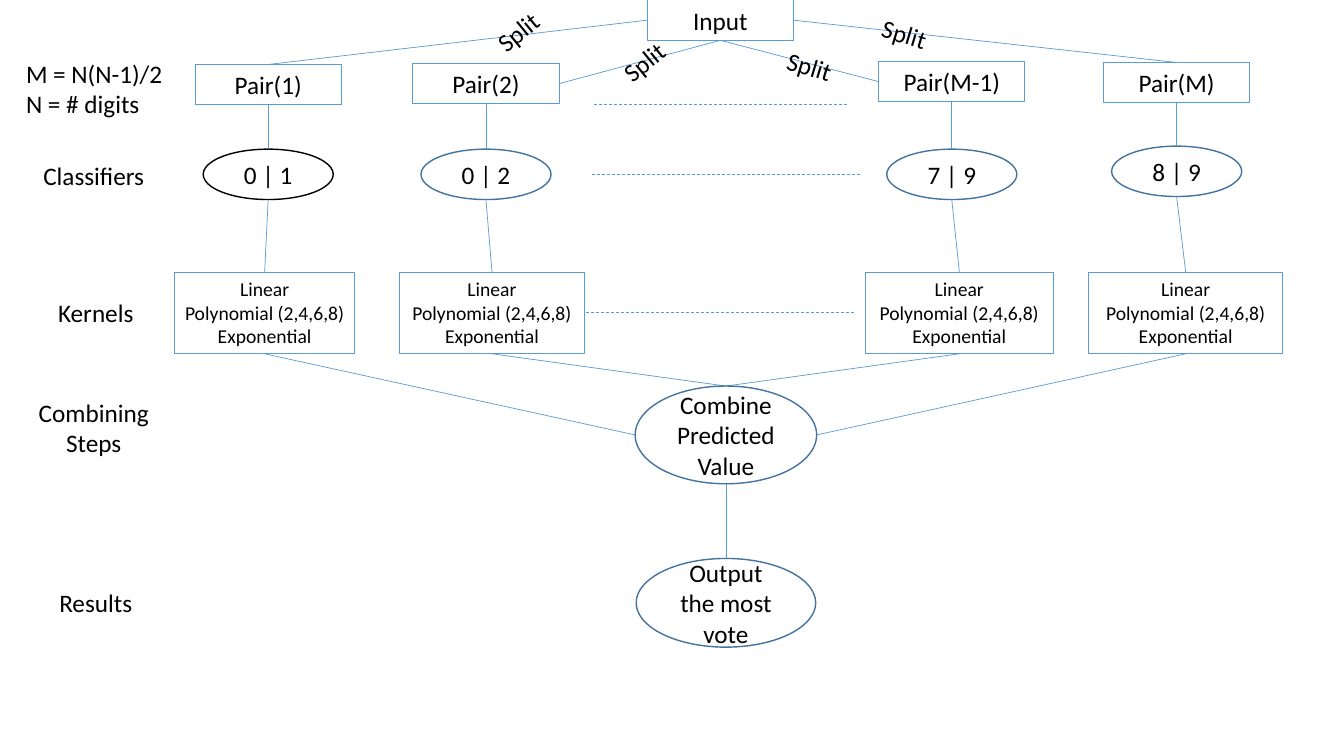
"""Build a slide showing pairwise digit classifiers combined by majority vote."""
from lxml import etree
from pptx import Presentation
from pptx.dml.color import RGBColor
from pptx.enum.dml import MSO_LINE
from pptx.enum.shapes import MSO_CONNECTOR, MSO_SHAPE
from pptx.enum.text import MSO_ANCHOR, PP_ALIGN
from pptx.oxml.ns import qn
from pptx.util import Pt

RECT, OVAL = MSO_SHAPE.RECTANGLE, MSO_SHAPE.OVAL
STRAIGHT, DASH = MSO_CONNECTOR.STRAIGHT, MSO_LINE.DASH
LEFT, CENTER = PP_ALIGN.LEFT, PP_ALIGN.CENTER
TOP, MIDDLE = MSO_ANCHOR.TOP, MSO_ANCHOR.MIDDLE

EMU_PER_PX = 9144
SLIDE_SIZE = (1333, 750)
FONT = "Calibri"
BLACK, WHITE, BLUE, NAVY = "000000", "FFFFFF", "5B9BD5", "43739E"

INPUT = ("Input", (642, 0, 145, 40))
KERNELS = "Linear\nPolynomial (2,4,6,8)\nExponential"
BRANCHES = [
    {"pair": "Pair(1)", "digits": "0 | 1", "center": 266, "pair_top": 64,
     "digits_top": 148, "kernels": (173, 179), "outline": BLACK},
    {"pair": "Pair(2)", "digits": "0 | 2", "center": 482, "pair_top": 63,
     "digits_top": 148, "kernels": (396, 184), "outline": NAVY},
    {"pair": "Pair(M-1)", "digits": "7 | 9", "center": 944, "pair_top": 61,
     "digits_top": 148, "kernels": (858, 187), "outline": NAVY},
    {"pair": "Pair(M)", "digits": "8 | 9", "center": 1167, "pair_top": 62,
     "digits_top": 145, "kernels": (1080, 192), "outline": NAVY},
]
PAIR_SIZE, DIGITS_SIZE = (145, 40), (129, 50)
KERNELS_TOP, KERNELS_HEIGHT = 270, 81
COMBINE = ("Combine\nPredicted Value", (630, 383, 180, 97))
OUTPUT = ("Output the most vote", (631, 554, 178, 88))
INPUT_SIDES = ["left", "bottom", "bottom", "right"]
PAIR_SIDES = ["top", "right", "left", "top"]
COMBINE_SIDES = ["left", "top", "top", "right"]
ELLIPSES = [((589, 104), (841, 104)), ((587, 173), (854, 173)), ((581, 310), (848, 310))]
LABELS = [
    ("M = N(N-1)/2\nN = # digits", 16, 53, 71, LEFT),
    ("Classifiers", 10, 154, 40, CENTER),
    ("Kernels", 12, 290, 40, CENTER),
    ("Combining Steps", 10, 389, 71, CENTER),
    ("Results", 12, 578, 40, CENTER),
]
LABEL_WIDTH = 166
SPLITS = [(481, 10, 320.8), (606, 40, 320.8), (771, 46, 16.8), (865, 14, 16.8)]
SPLIT_SIZE = (68, 40)


def px(*lengths):
    return [round(length * EMU_PER_PX) for length in lengths]


def color(value):
    return RGBColor.from_string(value)


def write(holder, text, size=18, align=CENTER, anchor=TOP, wrap=False):
    frame = holder.text_frame
    frame.word_wrap = wrap
    frame.vertical_anchor = anchor
    for index, line in enumerate(text.split("\n")):
        paragraph = frame.add_paragraph() if index else frame.paragraphs[0]
        paragraph.alignment = align
        run = paragraph.add_run()
        run.text = line
        run.font.name, run.font.size = FONT, Pt(size)
        run.font.color.rgb = color(BLACK)


def add_node(slide, kind, text, bounds, outline, weight, fill=None, **text_format):
    node = slide.shapes.add_shape(kind, *px(*bounds))
    node.shadow.inherit = False
    if fill:
        node.fill.solid()
        node.fill.fore_color.rgb = color(fill)
    else:
        node.fill.background()
    node.line.color.rgb = color(outline)
    node.line.width = Pt(weight)
    write(node, text, **text_format)


def add_box(slide, text, bounds, size=18):
    add_node(slide, RECT, text, bounds, BLUE, 0.75, fill=WHITE, size=size)


def add_oval(slide, text, bounds, outline=NAVY):
    add_node(slide, OVAL, text, bounds, outline, 1, anchor=MIDDLE, wrap=True)


def add_label(slide, text, bounds, rotation=0, **text_format):
    label = slide.shapes.add_textbox(*px(*bounds))
    label.rotation = rotation
    write(label, text, **text_format)


def side(bounds, name):
    left, top, width, height = bounds
    return {"left": (left, top + height / 2), "right": (left + width, top + height / 2),
            "top": (left + width / 2, top), "bottom": (left + width / 2, top + height)}[name]


def add_link(slide, start, end, dash=None):
    link = slide.shapes.add_connector(STRAIGHT, *px(*start, *end))
    link.line.color.rgb = color(BLUE)
    link.line.width = Pt(0.5)
    if dash:
        link.line.dash_style = dash
    etree.SubElement(link._element.spPr, qn("a:effectLst"))


def add_branch(slide, branch, input_side, pair_side, combine_side):
    center = branch["center"]
    pair = (center - PAIR_SIZE[0] / 2, branch["pair_top"], *PAIR_SIZE)
    digits = (center - DIGITS_SIZE[0] / 2, branch["digits_top"], *DIGITS_SIZE)
    left, width = branch["kernels"]
    kernels = (left, KERNELS_TOP, width, KERNELS_HEIGHT)
    add_box(slide, branch["pair"], pair)
    add_oval(slide, branch["digits"], digits, branch["outline"])
    add_box(slide, KERNELS, kernels, size=14)
    add_link(slide, side(INPUT[1], input_side), side(pair, pair_side))
    add_link(slide, side(pair, "bottom"), side(digits, "top"))
    add_link(slide, side(digits, "bottom"), side(kernels, "top"))
    add_link(slide, side(kernels, "bottom"), side(COMBINE[1], combine_side))


def main():
    deck = Presentation()
    deck.slide_width, deck.slide_height = px(*SLIDE_SIZE)
    slide = deck.slides.add_slide(deck.slide_layouts[6])
    add_box(slide, *INPUT)
    for branch_and_sides in zip(BRANCHES, INPUT_SIDES, PAIR_SIDES, COMBINE_SIDES):
        add_branch(slide, *branch_and_sides)
    for start, end in ELLIPSES:
        add_link(slide, start, end, dash=DASH)
    add_oval(slide, *COMBINE)
    add_oval(slide, *OUTPUT)
    add_link(slide, side(COMBINE[1], "bottom"), side(OUTPUT[1], "top"))
    for text, left, top, height, align in LABELS:
        add_label(slide, text, (left, top, LABEL_WIDTH, height), align=align, wrap=True)
    for left, top, rotation in SPLITS:
        add_label(slide, "Split", (left, top, *SPLIT_SIZE), rotation, align=LEFT)
    deck.save("out.pptx")


if __name__ == "__main__":
    main()
